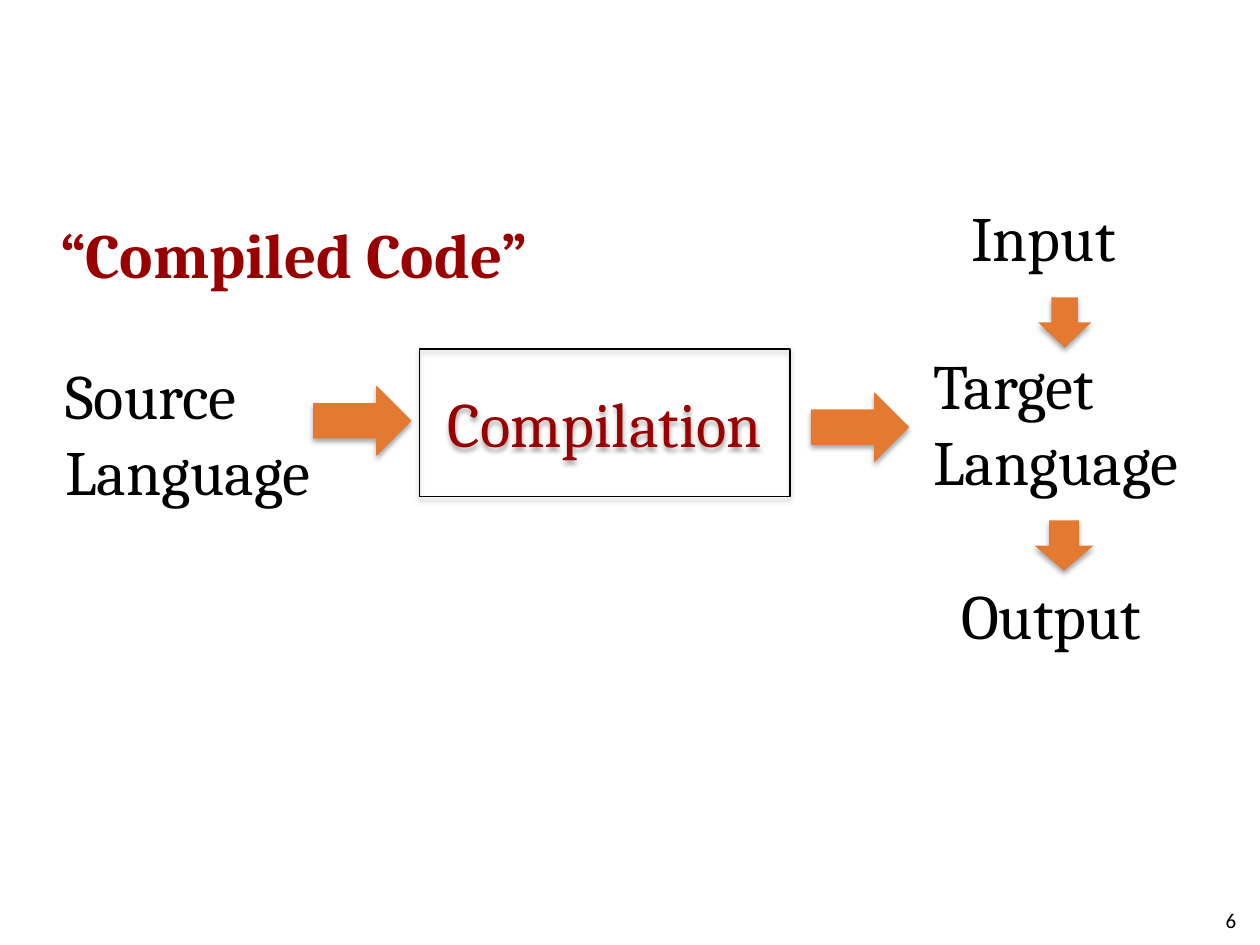
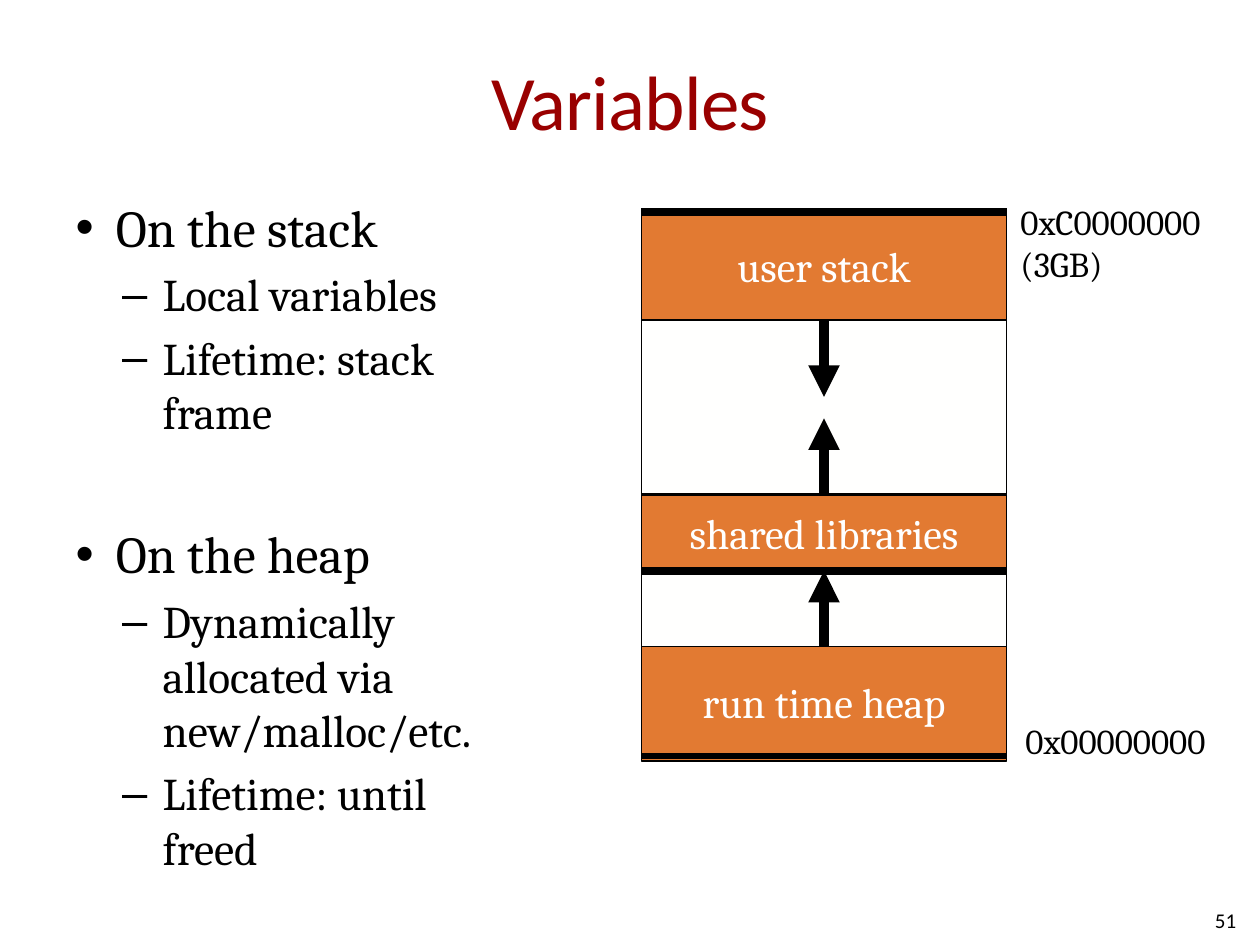
from dataclasses import dataclass
from typing import Any, Optional

from lxml import etree
from pptx import Presentation
from pptx.dml.color import RGBColor
from pptx.enum.shapes import MSO_CONNECTOR as Line, MSO_SHAPE as Preset
from pptx.enum.text import MSO_ANCHOR as Anchor, MSO_AUTO_SIZE as AutoSize, PP_ALIGN as Align
from pptx.oxml.ns import qn
from pptx.util import Inches, Pt

# Shared look
COLORS = {
    "ink": "000000",
    "heading": "990000",
    "arrow": "E47932",
    "segment": "E27A32",
    "gap": "FFFFFE",
    "light": "FFFFFF",
}
SERIF, SANS = "Cambria", "Calibri"
STYLES: dict[str, dict[str, Any]] = {
    "title": {"name": SANS, "size": Pt(44), "bold": False},
    "heading": {"name": SERIF, "size": Pt(36), "bold": True},
    "stage": {"name": SERIF, "size": Pt(36)},
    "segment": {"name": SERIF, "size": Pt(24)},
    "address": {"name": SERIF, "size": Pt(20)},
    "topic": {"name": SERIF, "size": Pt(29.6)},
    "detail": {"name": SERIF, "size": Pt(25.9)},
    "number": {"name": SANS, "size": Pt(12)},
}


@dataclass
class Box:
    left: float
    top: float
    width: float
    height: float

    def emu(self) -> tuple:
        return tuple(Inches(v) for v in (self.left, self.top, self.width, self.height))


@dataclass
class Label:
    text: str
    box: Box
    wrap: bool = True


@dataclass
class Block:
    box: Box
    preset: Any = Preset.RECTANGLE
    fill: Optional[str] = None
    line: Optional[str] = "ink"
    text: str = ""
    style: str = "segment"
    color: str = "light"
    shadow: bool = False


@dataclass
class Bullet:
    text: str
    level: int = 0
    before: float = 0


def rgb(name: str) -> RGBColor:
    return RGBColor.from_string(COLORS[name])


def set_attributes(target: Any, values: dict[str, Any]) -> None:
    for key, value in values.items():
        setattr(target, key, value)


def format_font(font: Any, style: str, color: str) -> None:
    set_attributes(font, STYLES[style])
    font.color.rgb = rgb(color)


def write(frame: Any, text: str, style: str, color: str = "ink", align: Any = Align.LEFT,
          anchor: Any = Anchor.TOP, wrap: bool = True) -> None:
    set_attributes(frame, {"word_wrap": wrap, "auto_size": AutoSize.NONE,
                           "vertical_anchor": anchor})
    paragraph = frame.paragraphs[0]
    paragraph.alignment = align
    for index, part in enumerate(text.split("\n")):
        if index:
            paragraph.add_line_break()
        run = paragraph.add_run()
        run.text = part
        format_font(run.font, style, color)


def add_label(slide: Any, label: Label, style: str, **layout: Any) -> None:
    frame = slide.shapes.add_textbox(*label.box.emu()).text_frame
    write(frame, label.text, style, wrap=label.wrap, **layout)


def add_number(slide: Any, number: str) -> None:
    add_label(slide, Label(number, Box(7.58, 7.1, 2.33, 0.4)), "number",
              align=Align.RIGHT, anchor=Anchor.MIDDLE)


def place(placeholder: Any, box: Box) -> Any:
    set_attributes(placeholder, dict(zip(("left", "top", "width", "height"), box.emu())))
    return placeholder.text_frame


def add_soft_shadow(shape: Any) -> None:
    effects = shape._element.spPr.find(qn("a:effectLst"))
    shadow = etree.SubElement(effects, qn("a:outerShdw"), blurRad=str(Pt(3.1)),
                              dist=str(Pt(1.8)), dir="5400000", rotWithShape="0")
    color = etree.SubElement(shadow, qn("a:srgbClr"), val=COLORS["ink"])
    etree.SubElement(color, qn("a:alpha"), val="35000")


def add_block(slide: Any, block: Block) -> Any:
    shape = slide.shapes.add_shape(block.preset, *block.box.emu())
    shape.shadow.inherit = False
    if block.fill:
        shape.fill.solid()
        shape.fill.fore_color.rgb = rgb(block.fill)
    else:
        shape.fill.background()
    if block.line:
        shape.line.color.rgb = rgb(block.line)
        shape.line.width = Pt(0.75)
    else:
        shape.line.fill.background()
    if block.shadow:
        add_soft_shadow(shape)
    if block.text:
        write(shape.text_frame, block.text, block.style, block.color,
              Align.CENTER, Anchor.MIDDLE, wrap=False)
    return shape


def add_line(slide: Any, start: tuple, end: tuple, width: float, arrow: bool = False) -> Any:
    points = [Inches(v) for v in (*start, *end)]
    line = slide.shapes.add_connector(Line.STRAIGHT, *points)
    line.line.color.rgb = rgb("ink")
    line.line.width = Pt(width)
    if arrow:
        etree.SubElement(line.line._get_or_add_ln(), qn("a:tailEnd"), type="triangle")
    etree.SubElement(line._element.spPr, qn("a:effectLst"))
    return line


def add_bullets(frame: Any, bullets: list[Bullet]) -> None:
    set_attributes(frame, {"word_wrap": True, "auto_size": AutoSize.NONE})
    for index, bullet in enumerate(bullets):
        paragraph = frame.add_paragraph() if index else frame.paragraphs[0]
        paragraph.text = bullet.text
        paragraph.level = bullet.level
        paragraph.space_before = Pt(bullet.before)
        properties = paragraph._p.get_or_add_pPr()
        properties.set("marL", str(Inches((0.32, 0.69)[bullet.level])))
        properties.set("indent", str(Inches(-0.32)))
        etree.SubElement(properties, qn("a:buChar"), char="•–"[bullet.level])
        format_font(paragraph.font, ("topic", "detail")[bullet.level], "ink")


def build_compilation(deck: Any) -> None:
    slide = deck.slides.add_slide(deck.slide_layouts[5])
    write(place(slide.shapes.title, Box(0.38, 1.66, 4.07, 0.71)), "“Compiled Code”",
          "heading", "heading", wrap=False)

    # Stages of the pipeline
    add_block(slide, Block(Box(3.33, 2.77, 2.94, 1.17), text="Compilation",
                           style="stage", color="heading", shadow=True))
    for stage in (
        Label("Source \nLanguage", Box(0.42, 2.78, 2.27, 1.31), wrap=False),
        Label("Target\nLanguage", Box(7.31, 2.7, 2.27, 1.31), wrap=False),
        Label("Input", Box(7.61, 1.53, 1.67, 0.71)),
        Label("Output", Box(7.53, 4.53, 1.83, 0.71)),
    ):
        add_label(slide, stage, "stage")

    # Flow between the stages
    for left, top in ((2.49, 3.07), (6.44, 3.12)):
        add_block(slide, Block(Box(left, top, 0.77, 0.54), Preset.RIGHT_ARROW,
                               "arrow", "arrow", shadow=True))
    for left, top, width in ((8.24, 2.36, 0.42), (8.21, 4.13, 0.47)):
        add_block(slide, Block(Box(left, top, width, 0.4), Preset.DOWN_ARROW,
                               "arrow", None, shadow=True))
    add_number(slide, "6")


def build_variables(deck: Any) -> None:
    slide = deck.slides.add_slide(deck.slide_layouts[1])
    title = place(slide.shapes.title, Box(0.5, 0.17, 9, 1.25))
    set_attributes(title, {"margin_left": 0, "margin_right": 0})
    write(title, "Variables", "title", "heading", Align.CENTER, Anchor.MIDDLE)
    title.paragraphs[0].runs[0].font._element.set("spc", "-50")

    # Where variables live
    add_bullets(place(slide.placeholders[1], Box(0.5, 1.5, 3.5, 5.2)), [
        Bullet("On the stack"),
        Bullet("Local variables", 1, 5.2),
        Bullet("Lifetime: stack frame", 1, 5.2),
        Bullet("On the heap", 0, 47.5),
        Bullet("Dynamically allocated via new/malloc/etc.", 1, 5.2),
        Bullet("Lifetime: until freed", 1, 5.2),
    ])
    add_number(slide, "51")

    # Memory segments, then the free space between them
    left, width = 5.09, 2.9
    for name, top, height in (("run time heap", 5.09, 0.95),
                              ("shared libraries", 3.93, 0.6),
                              ("user stack", 1.68, 0.86)):
        add_block(slide, Block(Box(left, top, width, height), fill="segment", text=name))
    heap_room, stack_room = (
        add_block(slide, Block(Box(left, top, width, height), fill="gap"))
        for top, height in ((4.53, 0.6), (2.54, 1.38))
    )

    # Directions of growth
    middle = left + width / 2
    heap_growth = add_line(slide, (middle, 5.13), (middle, 4.53), 6, arrow=True)
    heap_growth.begin_connect(heap_room, 2)
    heap_growth.end_connect(heap_room, 0)
    for start, end, side in ((3.92, 3.32, 2), (2.54, 3.15, 0)):
        growth = add_line(slide, (middle, start), (middle, end), 6, arrow=True)
        growth.begin_connect(stack_room, side)

    # Addresses and borders
    for address in (Label("0x00000000", Box(8.04, 5.66, 1.78, 0.44)),
                    Label("0xC0000000 (3GB)", Box(8, 1.54, 1.72, 0.77))):
        add_label(slide, address, "address")
    for height, weight in ((6, 3), (4.53, 4.5), (1.68, 4.5)):
        add_line(slide, (left, height), (left + width, height), weight)


def main() -> None:
    deck = Presentation()
    deck.slide_width, deck.slide_height = Inches(10), Inches(7.5)
    build_compilation(deck)
    build_variables(deck)
    deck.save("out.pptx")


if __name__ == "__main__":
    main()
